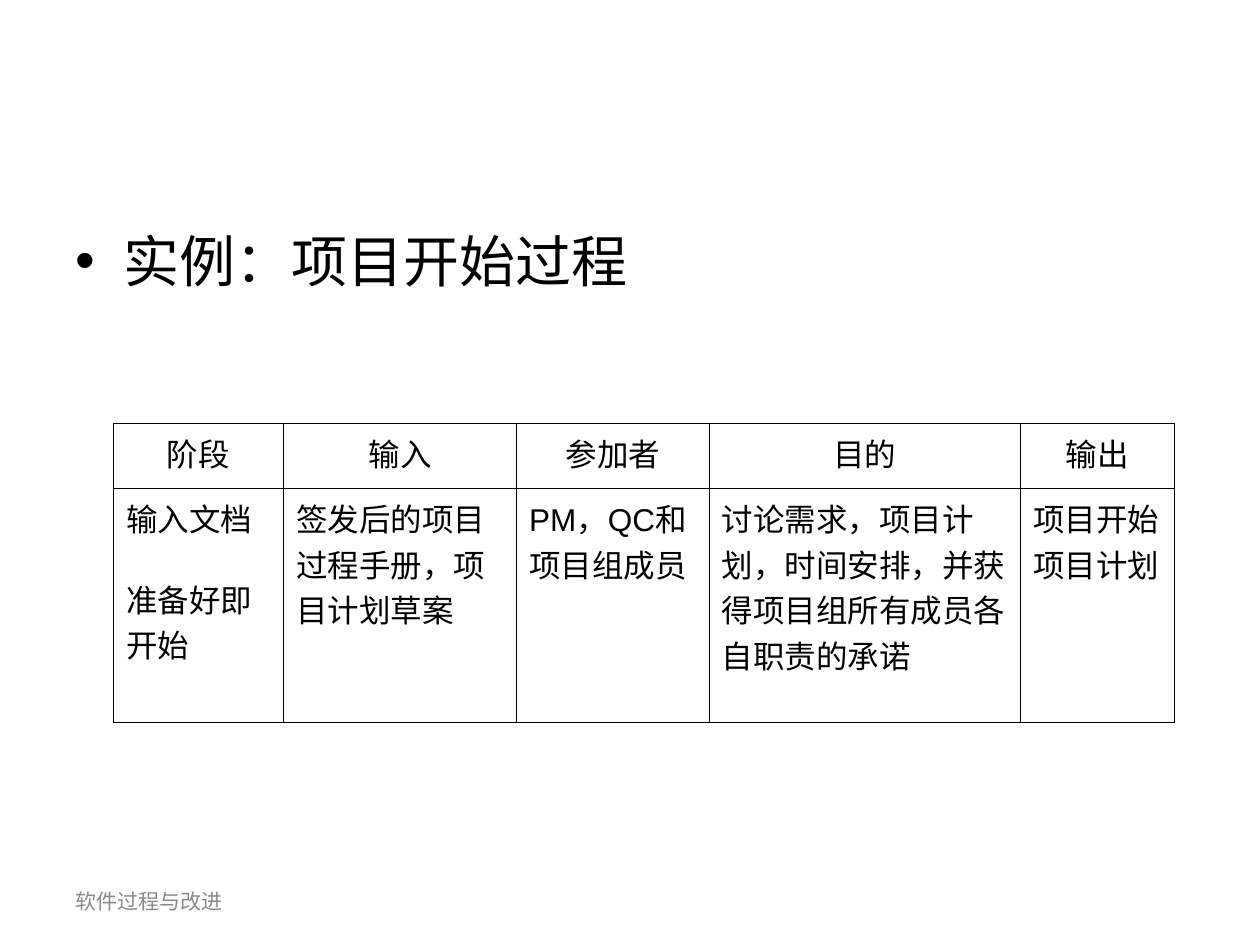
"""Build the slide on the project start process with its stage table."""
from dataclasses import dataclass

from lxml.etree import SubElement
from pptx import Presentation
from pptx.dml.color import RGBColor
from pptx.enum.text import MSO_ANCHOR as Anchor, PP_ALIGN as Align
from pptx.oxml.ns import qn
from pptx.util import Pt

PX = 9144


@dataclass(frozen=True)
class Theme:
    ink: str = "000000"
    muted: str = "898989"
    body_font: str = "Calibri"
    table_font: str = "Arial"
    heading_size: int = 32
    table_size: int = 18
    footer_size: int = 12
    border_width: float = 0.45


theme = Theme()


def add_span(para, text, font, size, color):
    span = para.add_run()
    span.text = text
    span.font.name = font
    span.font.size = Pt(size)
    span.font.color.rgb = RGBColor.from_string(color)


def set_hanging(para, indent):
    properties = para._p.get_or_add_pPr()
    properties.set("marL", str(indent * PX))
    properties.set("indent", str(-indent * PX))
    return properties


deck = Presentation()
deck.slide_width, deck.slide_height = 1000 * PX, 750 * PX
page = deck.slides.add_slide(deck.slide_layouts[6])

heading = page.shapes.add_textbox(50 * PX, 175 * PX, 900 * PX, 495 * PX).text_frame
heading.word_wrap = True
para = heading.paragraphs[0]
bullet_properties = set_hanging(para, 38)
SubElement(bullet_properties, qn("a:buFont"), typeface="Arial")
SubElement(bullet_properties, qn("a:buChar"), char="•")
add_span(para, "实例：项目开始过程", theme.body_font, theme.heading_size, theme.ink)

footer = page.shapes.add_textbox(50 * PX, 695 * PX, 233 * PX, 40 * PX).text_frame
footer.word_wrap = True
footer.vertical_anchor = Anchor.MIDDLE
add_span(footer.paragraphs[0], "软件过程与改进", theme.body_font, theme.footer_size, theme.muted)

column_widths = [135, 185, 153, 247, 122]
row_heights = [52, 185]
stage_rows = [
    [["阶段"], ["输入"], ["参加者"], ["目的"], ["输出"]],
    [
        ["输入文档", "准备好即", "开始"],
        ["签发后的项目", "过程手册，项", "目计划草案"],
        ["PM，QC和", "项目组成员"],
        ["讨论需求，项目计", "划，时间安排，并获", "得项目组所有成员各", "自职责的承诺"],
        ["项目开始", "项目计划"],
    ],
]
table = page.shapes.add_table(
    len(row_heights), len(column_widths), 90 * PX, 336 * PX,
    sum(column_widths) * PX, sum(row_heights) * PX,
).table
table.first_row = False
table.horz_banding = False
for column, width in zip(table.columns, column_widths):
    column.width = width * PX
for row, height in zip(table.rows, row_heights):
    row.height = height * PX

for row_index, stage_row in enumerate(stage_rows):
    for column_index, lines in enumerate(stage_row):
        cell = table.cell(row_index, column_index)
        cell_properties = cell._tc.get_or_add_tcPr()
        for side in ("lnL", "lnR", "lnT", "lnB"):
            border = SubElement(cell_properties, qn(f"a:{side}"), w=str(Pt(theme.border_width)))
            border_fill = SubElement(border, qn("a:solidFill"))
            SubElement(border_fill, qn("a:srgbClr"), val=theme.ink)
        cell.fill.background()
        for line_index, line in enumerate(lines):
            para = cell.text_frame.paragraphs[0] if line_index == 0 else cell.text_frame.add_paragraph()
            set_hanging(para, 51)
            para.alignment = Align.CENTER if row_index == 0 else Align.LEFT
            if line == "准备好即":
                para.space_before = Pt(20)
            add_span(para, line, theme.table_font, theme.table_size, theme.ink)

deck.save("out.pptx")
